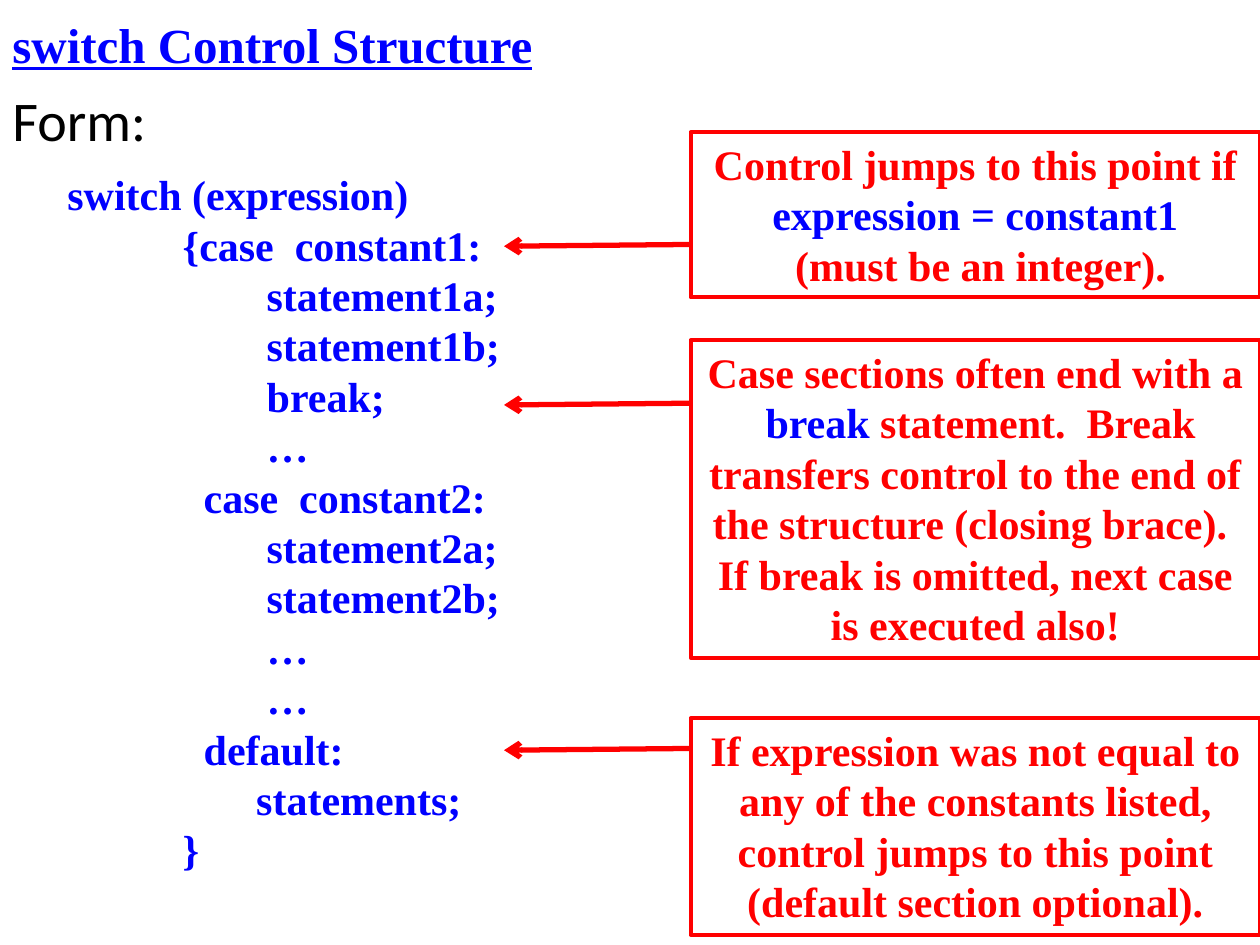
from pptx import Presentation
from pptx.util import Pt
from pptx.dml.color import RGBColor
from pptx.enum.shapes import MSO_SHAPE, MSO_CONNECTOR
from pptx.enum.text import MSO_ANCHOR, MSO_AUTO_SIZE, PP_ALIGN
from pptx.oxml.ns import qn
from lxml.etree import SubElement

BLUE = RGBColor(0x00, 0x00, 0xFF)
RED = RGBColor(0xFF, 0x00, 0x00)
BLACK = RGBColor(0x00, 0x00, 0x00)
SERIF = "Times New Roman"
BOLD = {"name": SERIF, "size": Pt(24), "bold": True}
HEAD = {"name": SERIF, "size": Pt(28), "bold": True, "underline": True}
PLAIN = {"name": "Calibri", "size": Pt(32)}

CODE = """switch (expression)
           {case  constant1:
                   statement1a;
                   statement1b;
                   break;
                   …
             case  constant2:
                   statement2a;
                   statement2b;
                   …
                   …
             default:
                  statements;
           }"""

NOTES = [
    (75.6, 94.3, 139.7, [
        [("Control jumps to this point if ", RED), ("expression = constant1", BLUE)],
        [(" (must be an integer).", RED)]]),
    (194.4, 181.4, 230.4, [
        [("Case sections often end with a  ", RED), ("break", BLUE),
         (" statement.  Break transfers control to the end of the structure"
          " (closing brace).  If break is omitted, next case is executed also!", RED)]]),
    (410.4, 123.8, 427.7, [
        [("If expression was not equal to any of the constants listed, control"
          " jumps to this point (default section optional).", RED)]]),
]


class Board:
    edge = 394.6
    tip = 288
    wide = 325.4

    def __init__(self, slide):
        self.shapes = slide.shapes

    def rows(self, frame, rows, style, align=PP_ALIGN.LEFT):
        for i, row in enumerate(rows):
            para = frame.paragraphs[0] if i == 0 else frame.add_paragraph()
            para.alignment = align
            for text, color in row:
                run = para.add_run()
                run.text = text
                run.font.color.rgb = color
                for key, value in style.items():
                    setattr(run.font, key, value)

    def text(self, place, rows, style, wrap=True, anchor=MSO_ANCHOR.TOP):
        frame = self.shapes.add_textbox(*map(Pt, place)).text_frame
        frame.word_wrap = wrap
        frame.vertical_anchor = anchor
        self.rows(frame, rows, style)
        return frame

    def note(self, top, high, rows):
        box = self.shapes.add_shape(
            MSO_SHAPE.RECTANGLE, Pt(self.edge), Pt(top), Pt(self.wide), Pt(high))
        box.shadow.inherit = False
        box.fill.background()
        box.line.color.rgb = RED
        box.line.width = Pt(2.25)
        frame = box.text_frame
        frame.word_wrap = True
        frame.auto_size = MSO_AUTO_SIZE.SHAPE_TO_FIT_TEXT
        frame.vertical_anchor = MSO_ANCHOR.TOP
        self.rows(frame, rows, BOLD, PP_ALIGN.CENTER)

    def arrow(self, level):
        link = self.shapes.add_connector(
            MSO_CONNECTOR.STRAIGHT, Pt(self.edge), Pt(level),
            Pt(self.tip), Pt(level + 1))
        link.line.color.rgb = RED
        link.line.width = Pt(3)
        props = link.element.spPr
        SubElement(props.find(qn("a:ln")), qn("a:tailEnd"), type="arrow")
        SubElement(props, qn("a:effectLst"))


def main():
    deck = Presentation()
    deck.slide_width, deck.slide_height = Pt(720), Pt(540)
    board = Board(deck.slides.add_slide(deck.slide_layouts[6]))
    board.text((0, 0, 612, 49.7), [[("switch Control Structure", BLUE)]], HEAD,
               anchor=MSO_ANCHOR.MIDDLE)
    form = board.text((0, 49.7, 720, 42.5), [[("Form:", BLACK)]], PLAIN)
    form.paragraphs[0].line_spacing = 0.9
    code = board.text((31.4, 92.9, 262.8, 414.7),
                      [[(line, BLUE)] for line in CODE.split("\n")], BOLD, wrap=False)
    code.auto_size = MSO_AUTO_SIZE.SHAPE_TO_FIT_TEXT
    for top, high, level, rows in NOTES:
        board.arrow(level)
        board.note(top, high, rows)
    deck.save("out.pptx")


if __name__ == "__main__":
    main()
